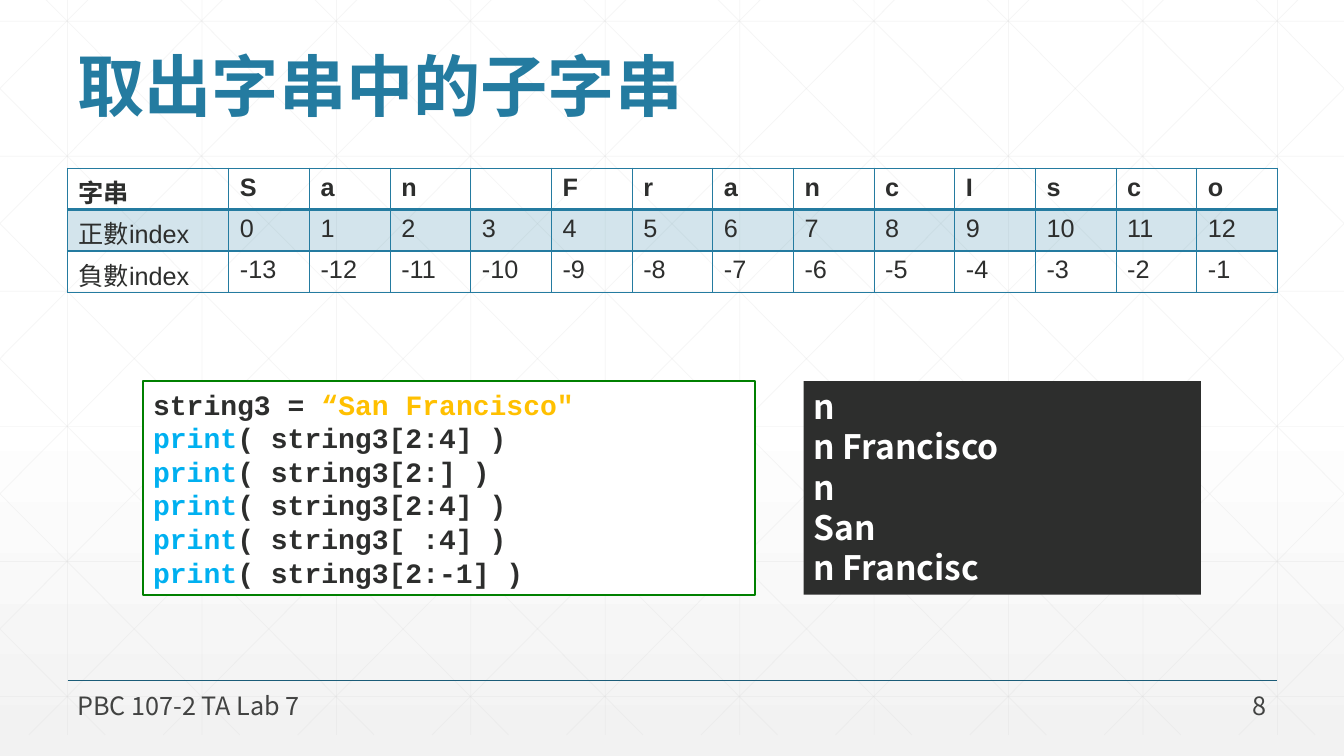
from copy import deepcopy
from dataclasses import dataclass

from lxml.etree import SubElement
from pptx import Presentation
from pptx.dml.color import RGBColor
from pptx.enum.shapes import MSO_CONNECTOR, MSO_SHAPE
from pptx.enum.text import MSO_ANCHOR, MSO_AUTO_SIZE, PP_ALIGN
from pptx.oxml.ns import qn
from pptx.util import Inches, Pt


@dataclass(frozen=True)
class Theme:
    teal: str = "247BA0"
    rule: str = "1B5C78"
    grid: str = "D9D9D9"
    ink: str = "2D2E2D"
    footer: str = "424342"
    white: str = "FFFFFF"
    mist: str = "F2F2F2"
    frame: str = "008000"
    keyword: str = "00B0F0"
    literal: str = "FFC000"
    sans: str = "Noto Sans CJK TC"
    body: str = "Arial"
    mono: str = "Courier New"
    title_size: int = 48
    output_size: int = 24
    code_size: int = 20
    text_size: int = 18


THEME = Theme()
WIDTH, MARGIN, CONTENT = 13.33, 0.67, 12
GRID_TOP, GRID_HEIGHT, GRID_STEP = -0.21, 7.5, 4 / 3


def apply_format(target, values):
    for name, value in values.items():
        setattr(target, name, value)


def set_alpha(fill_parent, percent):
    color = fill_parent.find(".//" + qn("a:srgbClr"))
    SubElement(color, qn("a:alpha"), val=str(percent * 1000))


def font_format(size, name, bold=False):
    return {"size": Pt(size), "name": name, "bold": bold}


def write_runs(paragraph, pieces, font):
    for words, color in pieces:
        run = paragraph.add_run()
        run.text = words
        apply_format(run.font, font)
        run.font.color.rgb = RGBColor.from_string(color)
        SubElement(run.font._element, qn("a:ea"), typeface=THEME.sans)


def write_lines(frame, lines, font, frame_format, paragraph_format):
    apply_format(frame, {"word_wrap": True, **frame_format})
    for number, pieces in enumerate(lines):
        paragraph = frame.add_paragraph() if number else frame.paragraphs[0]
        apply_format(paragraph, paragraph_format)
        write_runs(paragraph, pieces, font)


def add_label(slide, box, words, color, font, anchor, **paragraph_format):
    label = slide.shapes.add_textbox(*map(Inches, box))
    write_lines(label.text_frame, [[(words, color)]], font,
                {"vertical_anchor": anchor}, paragraph_format)


def add_panel(slide, box, fill, lines, font, anchor, border=None):
    panel = slide.shapes.add_shape(MSO_SHAPE.RECTANGLE, *map(Inches, box))
    panel.shadow.inherit = False
    panel.fill.solid()
    panel.fill.fore_color.rgb = RGBColor.from_string(fill)
    if border:
        panel.line.color.rgb = RGBColor.from_string(border)
        panel.line.width = Pt(1.5)
    else:
        panel.line.fill.background()
    write_lines(panel.text_frame, lines, font,
                {"vertical_anchor": anchor, "auto_size": MSO_AUTO_SIZE.SHAPE_TO_FIT_TEXT},
                {"alignment": PP_ALIGN.LEFT})


def add_line(slide, start, end, color, width, alpha=None):
    line = slide.shapes.add_connector(
        MSO_CONNECTOR.STRAIGHT, *map(Inches, (*start, *end)))
    line.line.color.rgb = RGBColor.from_string(color)
    line.line.width = Pt(width)
    if alpha:
        set_alpha(line.line._ln, alpha)
    SubElement(line._element.spPr, qn("a:effectLst"))


def paint_background(slide):
    fill = slide.background.fill
    fill.gradient()
    fill.gradient_angle = 270
    for stop, color in zip(fill.gradient_stops, (THEME.white, THEME.mist)):
        stop.color.rgb = RGBColor.from_string(color)
    stops = slide.element.find(".//" + qn("a:gsLst"))
    stops.insert(1, deepcopy(stops[0]))
    for stop, position in zip(fill.gradient_stops, (0, 0.53, 1)):
        stop.position = position


def add_grid(slide):
    bottom = GRID_TOP + GRID_HEIGHT
    run = 7.46
    segments = []
    for column in range(10):
        x = MARGIN + column * GRID_STEP
        segments.append(((x, GRID_TOP), (x, bottom)))
    for row in range(6):
        y = 0.21 + row * 1.34
        segments.append(((0, y), (WIDTH, y)))
    for step in range(-5, 10):
        origin = 0.25 + step * GRID_STEP
        ends = max(origin, 0), min(origin + run, WIDTH)
        falling = [(x, GRID_TOP + (x - origin) * GRID_HEIGHT / run) for x in ends]
        segments.append(falling)
        segments.append([(WIDTH - x, y) for x, y in falling])
    for start, end in segments:
        add_line(slide, start, end, THEME.grid, 0.5, 25)


def set_borders(cell, widths):
    properties = cell._tc.get_or_add_tcPr()
    for side, width in widths.items():
        edge = SubElement(properties, qn("a:ln" + side), w=str(Pt(width)))
        fill = SubElement(edge, qn("a:solidFill"))
        SubElement(fill, qn("a:srgbClr"), val=THEME.teal)


def add_index_table(slide):
    letters = "San FrancIsco"
    count = len(letters)
    rows = [["字串", *letters.replace(" ", "\0")],
            ["正數index", *map(str, range(count))],
            ["負數index", *map(str, range(-count, 0))]]
    rows[0] = [entry.strip("\0") for entry in rows[0]]
    table = slide.shapes.add_table(
        len(rows), count + 1, *map(Inches, (MARGIN, 1.67, CONTENT, 1.39))).table
    for number, column in enumerate(table.columns):
        column.width = Inches(0.8 if number else 1.6)
    inset = {"margin_left": Inches(0.11), "margin_right": Inches(0.11),
             "margin_top": Inches(0.05), "margin_bottom": Inches(0.05)}
    for r, entries in enumerate(rows):
        table.rows[r].height = Inches(0.41)
        font = font_format(THEME.text_size, THEME.body, r == 0)
        for c, entry in enumerate(entries):
            cell = table.cell(r, c)
            apply_format(cell, inset)
            set_borders(cell, {"L": 1, "R": 1, "T": 2 if r == 1 else 1,
                               "B": 2 if r == 0 else 1})
            if r == 1:
                cell.fill.solid()
                cell.fill.fore_color.rgb = RGBColor.from_string(THEME.teal)
                set_alpha(cell._tc.tcPr.find(qn("a:solidFill")), 20)
            else:
                cell.fill.background()
            if entry:
                write_runs(cell.text_frame.paragraphs[0], [(entry, THEME.ink)], font)


def add_code_and_output(slide):
    output = ["n ", "n Francisco", "n", "San", "n Francisc"]
    add_panel(slide, (7.97, 3.78, 3.94, 2.12), THEME.ink,
              [[(words, THEME.white)] for words in output],
              font_format(THEME.output_size, THEME.sans, True), MSO_ANCHOR.TOP)
    code = [[("string3 = ", THEME.ink), ("“San Francisco\"", THEME.literal)]]
    for part in ("2:4", "2:", "2:4", " :4", "2:-1"):
        code.append([("print", THEME.keyword), (f"( string3[{part}] )", THEME.ink)])
    add_panel(slide, (1.42, 3.78, 6.07, 2.12), THEME.white, code,
              font_format(THEME.code_size, THEME.mono, True), MSO_ANCHOR.MIDDLE,
              THEME.frame)


def add_footer(slide):
    add_line(slide, (MARGIN, 6.75), (MARGIN + CONTENT, 6.75), THEME.rule, 1)
    font = font_format(THEME.text_size, THEME.sans)
    for left, width, words, alignment in (
            (MARGIN, 6.7, "PBC 107-2 TA Lab 7", PP_ALIGN.LEFT),
            (11.66, 1, "8", PP_ALIGN.RIGHT)):
        add_label(slide, (left, 6.88, width, 0.24), words, THEME.footer, font,
                  MSO_ANCHOR.MIDDLE, alignment=alignment)


def main():
    deck = Presentation()
    apply_format(deck, {"slide_width": Inches(WIDTH), "slide_height": Inches(7.5)})
    slide = deck.slides.add_slide(deck.slide_layouts[6])
    paint_background(slide)
    add_grid(slide)
    add_label(slide, (MARGIN, 0.22, CONTENT, 1.08), "取出字串中的子字串", THEME.teal,
              font_format(THEME.title_size, THEME.sans, True), MSO_ANCHOR.BOTTOM,
              line_spacing=0.9)
    add_index_table(slide)
    add_footer(slide)
    add_code_and_output(slide)
    deck.save("out.pptx")


main()
